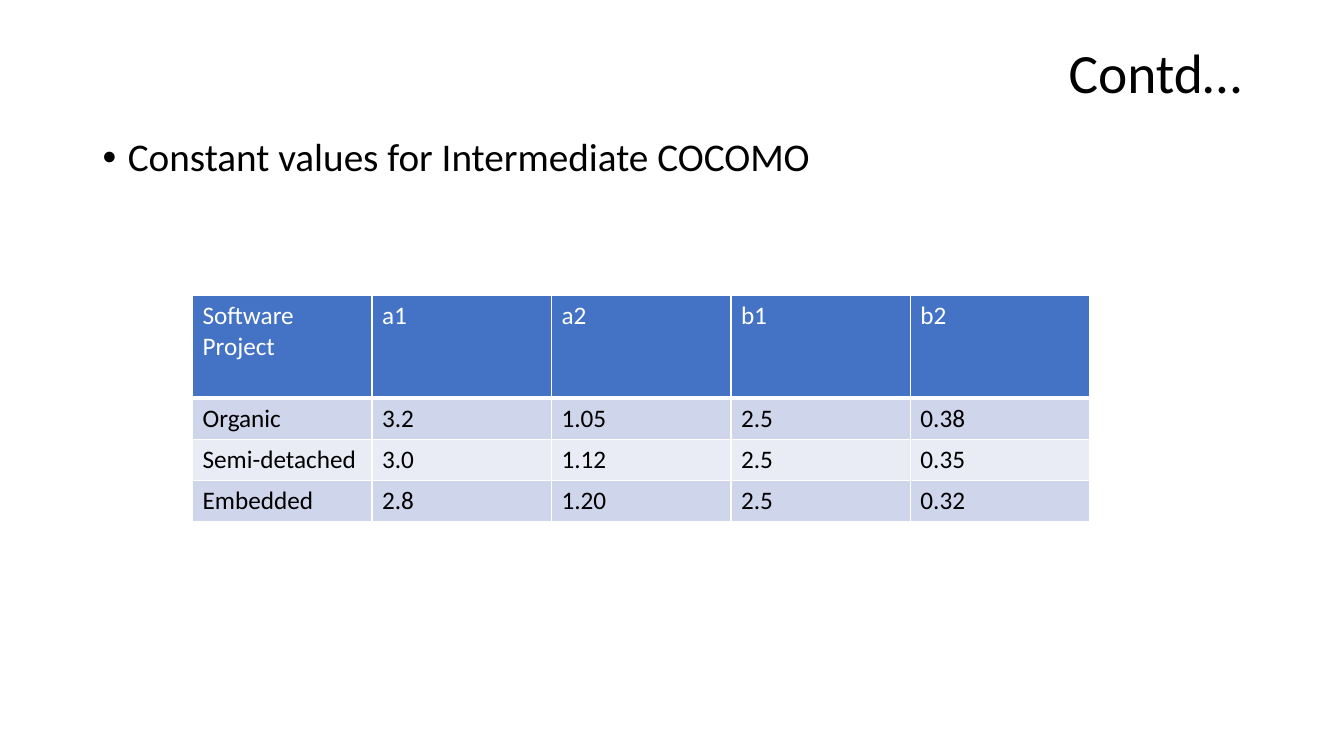
from lxml.etree import SubElement
from pptx import Presentation
from pptx.dml.color import RGBColor
from pptx.enum.text import MSO_ANCHOR, PP_ALIGN
from pptx.oxml.ns import qn
from pptx.util import Inches, Pt

TITLE = "Contd…"
BULLET = "Constant values for Intermediate COCOMO"
CONSTANTS = [
    ("Software Project", "a1", "a2", "b1", "b2"),
    ("Organic", "3.2", "1.05", "2.5", "0.38"),
    ("Semi-detached", "3.0", "1.12", "2.5", "0.35"),
    ("Embedded", "2.8", "1.20", "2.5", "0.32"),
]

FONT = "Calibri"
BLACK = RGBColor(0x00, 0x00, 0x00)
WHITE = RGBColor(0xFF, 0xFF, 0xFF)
HEADER_BLUE = RGBColor(0x44, 0x72, 0xC4)
BANDS = (RGBColor(0xE9, 0xEB, 0xF5), RGBColor(0xCF, 0xD5, 0xEA))

SLIDE_WIDTH, SLIDE_HEIGHT = Inches(13.33), Inches(7.5)
MARGIN = Inches(0.92)
CONTENT_WIDTH = SLIDE_WIDTH - 2 * MARGIN
TABLE_LEFT, TABLE_TOP = Inches(1.91), Inches(2.93)
COLUMN_WIDTH = Inches(1.78)
HEADER_HEIGHT, ROW_HEIGHT = Inches(1.02), Inches(0.41)


def add_span(para, text, size, color):
    span = para.add_run()
    span.text = text
    span.font.name = FONT
    span.font.size = Pt(size)
    span.font.color.rgb = color


def add_text(page, top, height, text, size):
    box = page.shapes.add_textbox(MARGIN, top, CONTENT_WIDTH, height)
    box.text_frame.word_wrap = True
    para = box.text_frame.paragraphs[0]
    para.line_spacing = 0.9
    add_span(para, text, size, BLACK)
    return box.text_frame, para


def add_bullet(para, indent):
    properties = para._p.get_or_add_pPr()
    properties.set("marL", str(indent))
    properties.set("indent", str(-indent))
    SubElement(properties, qn("a:buFont"), typeface="Arial")
    SubElement(properties, qn("a:buChar"), char="•")


def set_borders(cell, bottom_points):
    """Draw white cell edges; they must precede the fill in the XML."""
    properties = cell._tc.get_or_add_tcPr()
    for side, points in (("L", 1), ("R", 1), ("T", 1), ("B", bottom_points)):
        line = SubElement(properties, qn(f"a:ln{side}"), w=str(Pt(points)))
        fill = SubElement(line, qn("a:solidFill"))
        SubElement(fill, qn("a:srgbClr"), val=str(WHITE))


def add_constants_table(page):
    row_count, column_count = len(CONSTANTS), len(CONSTANTS[0])
    table = page.shapes.add_table(
        row_count, column_count, TABLE_LEFT, TABLE_TOP,
        COLUMN_WIDTH * column_count,
        HEADER_HEIGHT + ROW_HEIGHT * (row_count - 1),
    ).table
    for column in table.columns:
        column.width = COLUMN_WIDTH
    for row_index, values in enumerate(CONSTANTS):
        header = row_index == 0
        table.rows[row_index].height = HEADER_HEIGHT if header else ROW_HEIGHT
        for column_index, value in enumerate(values):
            cell = table.cell(row_index, column_index)
            set_borders(cell, 3 if header else 1)
            cell.fill.solid()
            cell.fill.fore_color.rgb = HEADER_BLUE if header else BANDS[row_index % 2]
            para = cell.text_frame.paragraphs[0]
            add_span(para, value, 18, WHITE if header else BLACK)
            para.runs[0].font.bold = False


def main():
    deck = Presentation()
    deck.slide_width, deck.slide_height = SLIDE_WIDTH, SLIDE_HEIGHT
    page = deck.slides.add_slide(deck.slide_layouts[6])

    frame, para = add_text(page, Inches(0.4), Inches(0.7), TITLE, 39.6)
    frame.vertical_anchor = MSO_ANCHOR.MIDDLE
    para.alignment = PP_ALIGN.RIGHT

    frame, para = add_text(page, Inches(1.32), Inches(5.43), BULLET, 28)
    para.space_before = Pt(10)
    add_bullet(para, Inches(0.25))

    add_constants_table(page)
    deck.save("out.pptx")


if __name__ == "__main__":
    main()
